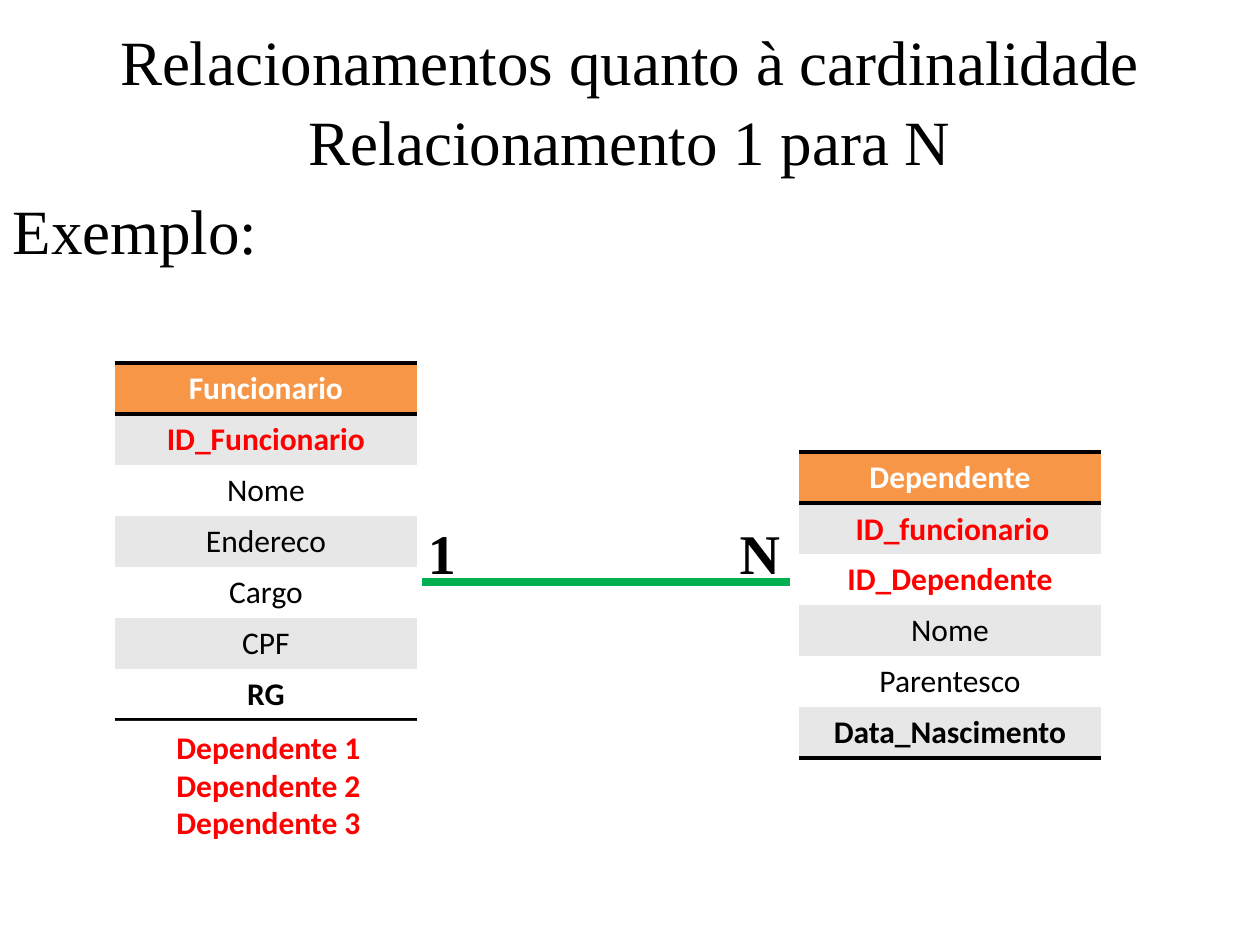
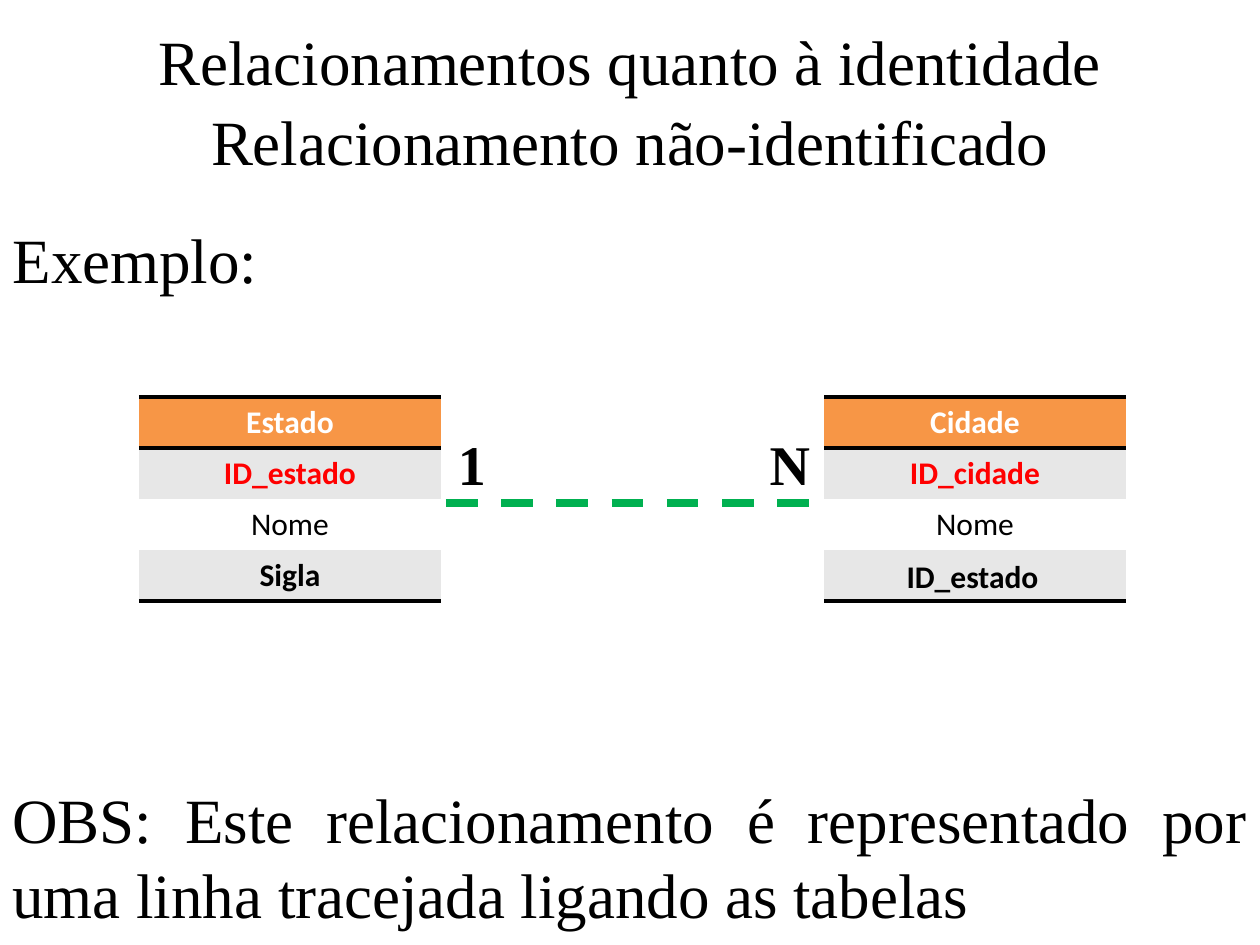
from lxml import etree
from pptx import Presentation
from pptx.dml.color import RGBColor
from pptx.enum.dml import MSO_LINE_DASH_STYLE as Dash
from pptx.enum.shapes import MSO_CONNECTOR, MSO_SHAPE
from pptx.enum.text import MSO_ANCHOR, MSO_AUTO_SIZE, PP_ALIGN
from pptx.oxml.ns import qn
from pptx.util import Emu, Pt

PX = 914400 / 126
SLIDE_W, SLIDE_H = 1260, 945
TABLE_W, ROW_H = 302, 51
LABEL_W, LABEL_H = 307, 50
MARK_W = 100
LINE_W = 368
NO_GRID_STYLE = "{2D5ABB26-0587-4C30-8999-92F81FD0307C}"

BLACK = RGBColor(0x00, 0x00, 0x00)
WHITE = RGBColor(0xFF, 0xFF, 0xFF)
RED = RGBColor(0xFF, 0x00, 0x00)
ORANGE = RGBColor(0xF7, 0x96, 0x46)
GREY = RGBColor(0xE7, 0xE7, 0xE7)
GREEN = RGBColor(0x00, 0xB0, 0x50)
SERIF, SANS = "Times New Roman", "Calibri"


def px(*lengths):
    return [Emu(round(length * PX)) for length in lengths]


def write(frame, lines, size=36, font=SERIF, color=BLACK, bold=False, align=PP_ALIGN.CENTER):
    frame.text = "\n".join(lines)
    for para in frame.paragraphs:
        para.alignment = align
        para.space_before = Pt(0)
        para.font.size, para.font.name = Pt(size), font
        para.font.bold, para.font.color.rgb = bold, color


def add_text(page, box, text, **style):
    frame = page.shapes.add_textbox(*px(*box)).text_frame
    frame.word_wrap = True
    write(frame, [text], **style)


def fill_placeholder(holder, box, text, align):
    holder.left, holder.top, holder.width, holder.height = px(*box)
    frame = holder.text_frame
    frame.auto_size = MSO_AUTO_SIZE.NONE
    frame.vertical_anchor = MSO_ANCHOR.TOP
    write(frame, [text], align=align)


def add_heading_page(deck, title, subtitle, example_top):
    """Add a page with two heading lines and the "Exemplo:" lead-in."""
    page = deck.slides.add_slide(deck.slide_layouts[1])
    fill_placeholder(page.shapes.title, (0, 16, SLIDE_W, 89), title, PP_ALIGN.CENTER)
    add_text(page, (0, 96, SLIDE_W, 89), subtitle)
    body = page.placeholders[1]
    fill_placeholder(body, (0, example_top, SLIDE_W, 89), "Exemplo:", PP_ALIGN.LEFT)
    props = body.text_frame.paragraphs[0]._p.get_or_add_pPr()
    props.set("marL", "0")
    props.set("indent", "0")
    bullet = etree.Element(qn("a:buNone"))
    props.find(qn("a:defRPr")).addprevious(bullet)
    return page


def add_borders(cell, *sides):
    props = cell._tc.get_or_add_tcPr()
    for position, side in enumerate(sides):
        line = etree.Element(qn(f"a:{side}"), w=str(Pt(2)))
        fill = etree.SubElement(line, qn("a:solidFill"))
        etree.SubElement(fill, qn("a:srgbClr"), val=str(BLACK))
        props.insert(position, line)


def add_entity(page, left, top, name, fields, keys=()):
    """Add an entity table: header, banded fields, key fields in red, last field bold."""
    rows = [name, *fields]
    box = px(left, top, TABLE_W, ROW_H * len(rows))
    table = page.shapes.add_table(len(rows), 1, *box).table
    table._tbl.tblPr.find(qn("a:tableStyleId")).text = NO_GRID_STYLE
    table.horz_banding = False
    last = len(rows) - 1
    for index, text in enumerate(rows):
        cell = table.cell(index, 0)
        cell.fill.solid()
        if index == 0:
            cell.fill.fore_color.rgb, color = ORANGE, WHITE
            add_borders(cell, "lnT", "lnB")
        else:
            cell.fill.fore_color.rgb = GREY if index % 2 else WHITE
            color = RED if text in keys else BLACK
        if index == last:
            add_borders(cell, "lnB")
        write(cell.text_frame, [text], 18, SANS, color, color != BLACK or index == last)


def add_field_label(page, left, top, text, color):
    add_text(page, (left, top, LABEL_W, LABEL_H), text,
             size=18, font=SANS, color=color, bold=True)


def add_extra_fields(page, left, top, lines):
    box = page.shapes.add_shape(MSO_SHAPE.RECTANGLE, *px(left, top, LABEL_W, 127))
    box.shadow.inherit = False
    box.fill.solid()
    box.fill.fore_color.rgb = WHITE
    box.line.fill.background()
    write(box.text_frame, lines, 18, SANS, RED, True)


def add_relationship(page, box, line_left, line_y, dash=None):
    """Draw the link, with the marks 1 and N at the two ends of the box."""
    left, top, width, height = box
    link = page.shapes.add_connector(
        MSO_CONNECTOR.STRAIGHT, *px(line_left, line_y, line_left + LINE_W, line_y))
    etree.SubElement(link._element.spPr, qn("a:effectLst"))
    link.line.color.rgb = GREEN
    link.line.width = Pt(4.5)
    if dash:
        link.line.dash_style = dash
    for mark, mark_left in (("N", left + width - MARK_W), ("1", left)):
        add_text(page, (mark_left, top, MARK_W, height), mark, size=32, bold=True)


def build_cardinality(deck):
    page = add_heading_page(deck, "Relacionamentos quanto à cardinalidade",
                            "Relacionamento 1 para N", 185)
    add_entity(page, 115, 363, "Funcionario",
               ["ID_Funcionario", "Nome", "Endereco", "Cargo", "CPF", "RG"],
               keys=["ID_Funcionario"])
    add_entity(page, 799, 452, "Dependente",
               ["", "ID_Dependente", "Nome", "Parentesco", "Data_Nascimento"],
               keys=["ID_Dependente"])
    add_extra_fields(page, 115, 721, [f"Dependente {number}" for number in range(1, 4)])
    add_relationship(page, (392, 512, 418, 81), 422, 582)
    add_field_label(page, 799, 503, "ID_funcionario", RED)


def build_identity(deck):
    page = add_heading_page(deck, "Relacionamentos quanto à identidade",
                            "Relacionamento não-identificado", 214)
    add_entity(page, 139, 397, "Estado", ["ID_estado", "Nome", "Sigla"], keys=["ID_estado"])
    add_entity(page, 824, 397, "Cidade", ["ID_cidade", "Nome", ""], keys=["ID_cidade"])
    add_relationship(page, (422, 423, 418, 81), 446, 503, Dash.DASH)
    add_field_label(page, 819, 551, "ID_estado", BLACK)
    add_text(page, (0, 774, SLIDE_W, 165),
             "OBS: Este relacionamento é representado por uma linha tracejada ligando as tabelas",
             align=PP_ALIGN.JUSTIFY)


def main():
    deck = Presentation()
    deck.slide_width, deck.slide_height = px(SLIDE_W, SLIDE_H)
    build_cardinality(deck)
    build_identity(deck)
    deck.save("out.pptx")


if __name__ == "__main__":
    main()
